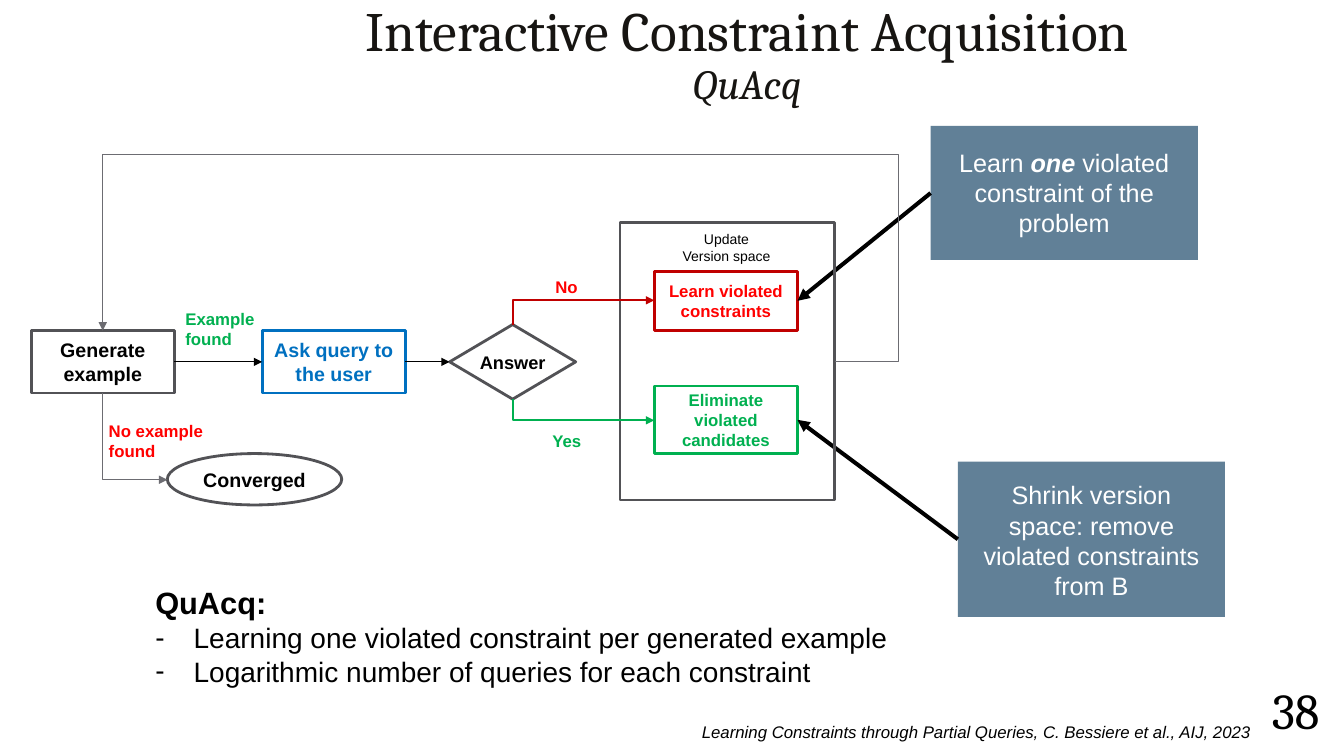
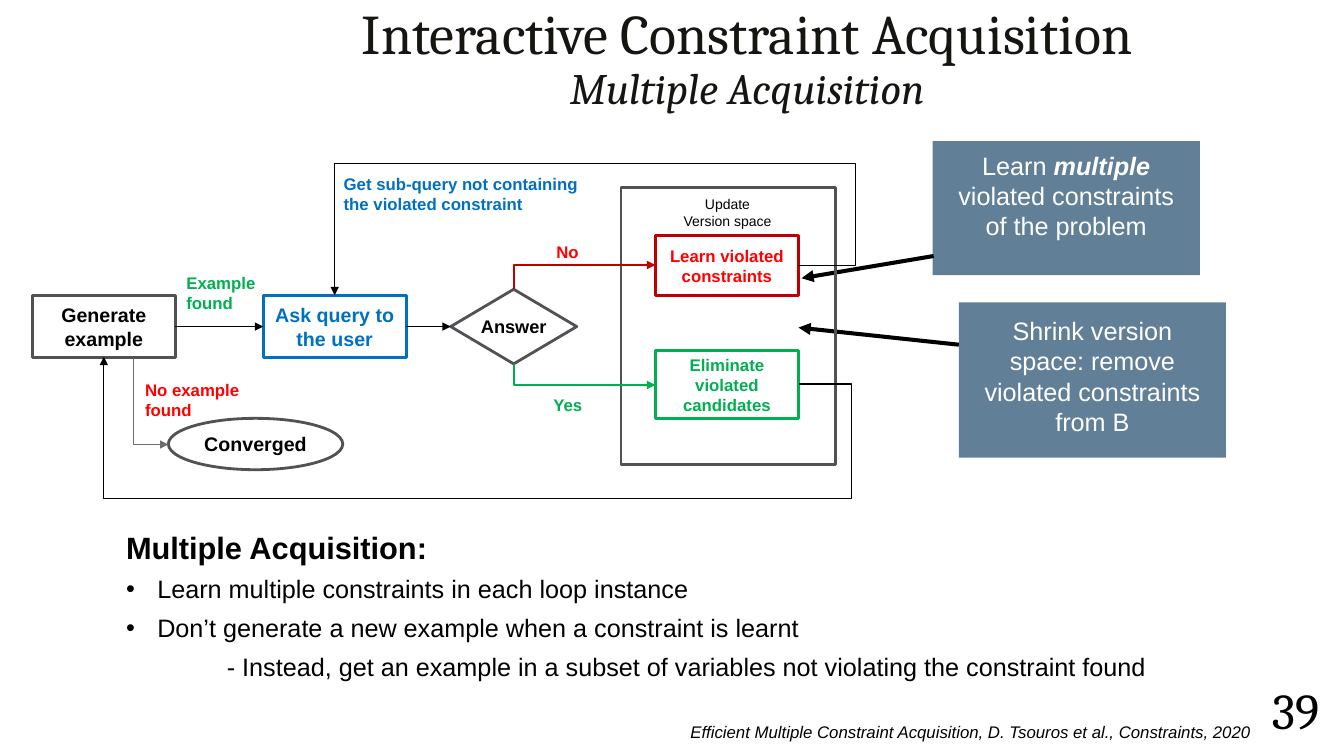
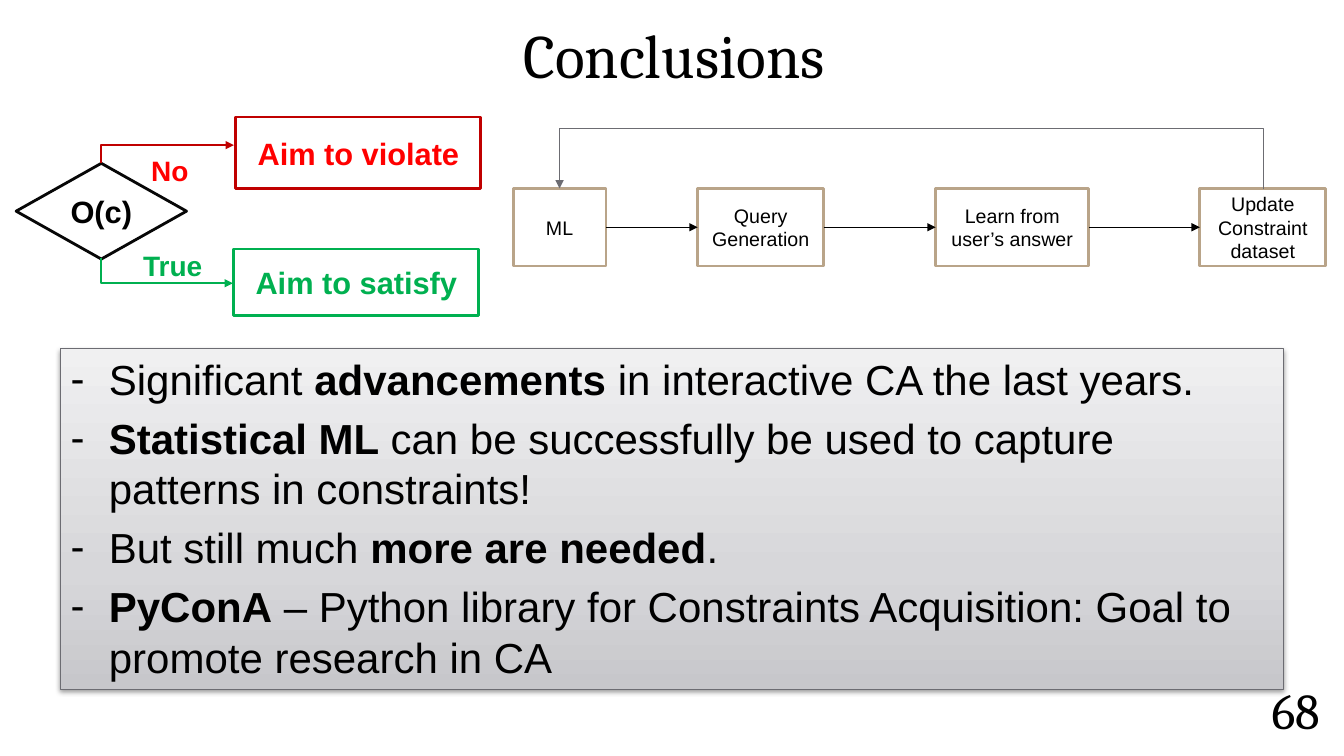
from copy import deepcopy
from dataclasses import dataclass
from typing import Optional

from lxml import etree
from pptx import Presentation
from pptx.dml.color import RGBColor
from pptx.enum.shapes import MSO_CONNECTOR, MSO_SHAPE
from pptx.enum.text import MSO_ANCHOR, MSO_AUTO_SIZE, PP_ALIGN
from pptx.oxml.ns import qn
from pptx.util import Emu, Inches, Pt

RECT, DIAMOND, OVAL = MSO_SHAPE.RECTANGLE, MSO_SHAPE.DIAMOND, MSO_SHAPE.OVAL
STRAIGHT, ELBOW = MSO_CONNECTOR.STRAIGHT, MSO_CONNECTOR.ELBOW
LEFT, CENTER, RIGHT = PP_ALIGN.LEFT, PP_ALIGN.CENTER, PP_ALIGN.RIGHT
TOP, MIDDLE, BOTTOM = MSO_ANCHOR.TOP, MSO_ANCHOR.MIDDLE, MSO_ANCHOR.BOTTOM
SIDE_LEFT, SIDE_RIGHT = 1, 3

BLACK = RGBColor(0x00, 0x00, 0x00)
WHITE = RGBColor(0xFF, 0xFF, 0xFF)
INK = RGBColor(0x17, 0x15, 0x12)
NEAR_BLACK = RGBColor(0x07, 0x07, 0x07)
DARK_GREY = RGBColor(0x52, 0x52, 0x56)
GREY = RGBColor(0x6C, 0x6C, 0x72)
BLUE = RGBColor(0x00, 0x70, 0xC0)
RED = RGBColor(0xFF, 0x00, 0x00)
DARK_RED = RGBColor(0xC0, 0x00, 0x00)
GREEN = RGBColor(0x00, 0xB0, 0x50)
STEEL = RGBColor(0x61, 0x80, 0x97)
TAN = RGBColor(0xB9, 0xA4, 0x89)
PANEL_STOPS = ((0, RGBColor(0xC7, 0xC7, 0xCB)), (0.35, RGBColor(0xD7, 0xD7, 0xDA)),
               (1, RGBColor(0xF0, 0xF0, 0xF1)))

SANS, SERIF = "Arial", "Cambria"
CELL = Inches(0.1)
TITLE_ONLY, TITLE_BODY = 5, 1

Point = tuple[float, float]


def cells(n: float) -> Emu:
    return Emu(round(n * CELL))


@dataclass(frozen=True)
class Box:
    x: float
    y: float
    w: float
    h: float

    def shifted(self, dx: float, dy: float) -> "Box":
        return Box(self.x + dx, self.y + dy, self.w, self.h)

    def emu(self) -> tuple[Emu, Emu, Emu, Emu]:
        return cells(self.x), cells(self.y), cells(self.w), cells(self.h)


@dataclass(frozen=True)
class Run:
    text: str
    size: float
    color: RGBColor = BLACK
    bold: bool = False
    italic: bool = False
    font: str = SANS


@dataclass(frozen=True)
class Para:
    runs: tuple[Run, ...]
    bullet: str = ""
    margin: float = 0
    hanging: float = 0
    before: float = 0
    after: float = 0
    level: int = 0


@dataclass(frozen=True)
class Node:
    name: str
    box: Box
    text: str
    size: float
    line: RGBColor
    color: RGBColor = BLACK
    shape: int = RECT
    bold: bool = True
    fill: Optional[RGBColor] = None


@dataclass(frozen=True)
class Label:
    box: Box
    text: str
    size: float
    color: RGBColor
    bold: bool = True
    align: int = LEFT


@dataclass(frozen=True)
class Callout:
    box: Box
    inset: float
    runs: tuple[Run, ...]
    start: Point
    end: Point
    target: str = ""


def add_run(p, run: Run):
    r = p.add_run()
    r.text = run.text
    f = r.font
    f.name, f.size, f.bold, f.italic = run.font, Pt(run.size), run.bold, run.italic
    f.color.rgb = run.color
    return r


def write(tf, paras: list[tuple[Run, ...]], align=LEFT, anchor=TOP, wrap=True, spacing=None) -> None:
    tf.word_wrap = wrap
    tf.auto_size = MSO_AUTO_SIZE.NONE
    tf.vertical_anchor = anchor
    for i, runs in enumerate(paras):
        p = tf.paragraphs[0] if i == 0 else tf.add_paragraph()
        p.alignment = align
        if spacing:
            p.line_spacing = spacing
        for run in runs:
            add_run(p, run)


def text_lines(item) -> list[tuple[Run, ...]]:
    return [(Run(line, item.size, item.color, item.bold),) for line in item.text.split("\n")]


def place(sp, box: Box) -> None:
    sp.left, sp.top, sp.width, sp.height = box.emu()


def add_text(slide, box: Box, paras: list[tuple[Run, ...]], **layout):
    sp = slide.shapes.add_textbox(*box.emu())
    write(sp.text_frame, paras, **layout)
    return sp


def add_label(slide, label: Label) -> None:
    add_text(slide, label.box, text_lines(label), align=label.align, wrap=False)


def add_block(slide, box: Box, shape=RECT, fill=None, line=None):
    sp = slide.shapes.add_shape(shape, *box.emu())
    sp.shadow.inherit = False
    if fill is None:
        sp.fill.background()
    else:
        sp.fill.solid()
        sp.fill.fore_color.rgb = fill
    if line is None:
        sp.line.fill.background()
    else:
        sp.line.color.rgb = line
        sp.line.width = Pt(2)
    return sp


def add_node(slide, node: Node):
    sp = add_block(slide, node.box, node.shape, node.fill, node.line)
    write(sp.text_frame, text_lines(node), CENTER, MIDDLE, wrap=node.shape == RECT)
    return sp


def style_arrow(cxn, color: RGBColor, width: float) -> None:
    cxn.line.color.rgb = color
    cxn.line.width = Pt(width)
    sp_pr = cxn._element.spPr
    etree.SubElement(sp_pr.find(qn("a:ln")), qn("a:tailEnd"), type="triangle")
    etree.SubElement(sp_pr, qn("a:effectLst"))


def add_arrow(slide, start: Point, end: Point, color=BLACK, width=0.75):
    cxn = slide.shapes.add_connector(STRAIGHT, *map(cells, (*start, *end)))
    style_arrow(cxn, color, width)
    return cxn


def join(slide, source, target) -> None:
    cxn = add_arrow(slide, (0, 0), (1, 1))
    cxn.begin_connect(source, SIDE_RIGHT)
    cxn.end_connect(target, SIDE_LEFT)


def add_elbow(slide, start: Point, end: Point, color=GREY, width=0.75,
              bends=2, turns=0, ratios: tuple[float, ...] = ()) -> None:
    cx, cy = (start[0] + end[0]) / 2, (start[1] + end[1]) / 2
    x, y = end[0] - cx, end[1] - cy
    for _ in range(turns):
        x, y = y, -x
    cxn = slide.shapes.add_connector(ELBOW, *map(cells, (cx - x, cy - y, cx + x, cy + y)))
    style_arrow(cxn, color, width)
    sp_pr = cxn._element.spPr
    if turns:
        sp_pr.find(qn("a:xfrm")).set("rot", str(turns * 5400000))
    geom = sp_pr.find(qn("a:prstGeom"))
    geom.set("prst", f"bentConnector{bends}")
    for i, ratio in enumerate(ratios, 1):
        etree.SubElement(geom.find(qn("a:avLst")), qn("a:gd"),
                         name=f"adj{i}", fmla=f"val {round(ratio * 100000)}")


def add_loop(slide, start: Point, end: Point, via: Point, color: RGBColor) -> None:
    ratios = tuple((v - s) / (e - s) for s, e, v in zip(start, end, via))
    add_elbow(slide, start, end, color, bends=4, ratios=ratios)


def start_slide(prs, layout: int, number: str, title_box: Box, title: tuple[Run, ...]):
    slide = prs.slides.add_slide(prs.slide_layouts[layout])
    sp = slide.shapes.title
    place(sp, title_box)
    write(sp.text_frame, [title[:1]], CENTER, BOTTOM, spacing=0.9)
    p = sp.text_frame.paragraphs[0]
    for run in title[1:]:
        p.add_line_break()
        p._p.find(qn("a:br")).append(deepcopy(p.runs[0]._r.rPr))
        add_run(p, run)
    page = add_text(slide, Box(123.5, 67.5, 10, 6.5), [(Run(number, 36, font=SERIF),)],
                    align=CENTER, anchor=MIDDLE, spacing=0.9)
    page.text_frame.margin_left = page.text_frame.margin_right = Inches(0.05)
    return slide


def fill_body(slide, box: Box, paras: list[Para]):
    sp = slide.placeholders[1]
    place(sp, box)
    tf = sp.text_frame
    write(tf, [para.runs for para in paras])
    for p, para in zip(tf.paragraphs, paras):
        p.level = para.level
        p.space_before, p.space_after = Pt(para.before), Pt(para.after)
        p_pr = p._p.get_or_add_pPr()
        p_pr.set("marL", str(Inches(para.margin)))
        p_pr.set("indent", str(-Inches(para.hanging)))
        if para.bullet:
            clr = etree.SubElement(p_pr, qn("a:buClr"))
            etree.SubElement(clr, qn("a:srgbClr"), val=str(BLACK))
            etree.SubElement(p_pr, qn("a:buFont"), typeface=SANS)
            etree.SubElement(p_pr, qn("a:buChar"), char=para.bullet)
        else:
            etree.SubElement(p_pr, qn("a:buNone"))
    return sp


def cite(slide, text: str) -> None:
    add_text(slide, Box(30.7, 71.1, 94.4, 3), [(Run(text, 12, italic=True),)], align=RIGHT)


FLOW_NODES = (
    Node("generate", Box(3.1, 32.8, 14.2, 6.2), "Generate example", 14, DARK_GREY),
    Node("ask", Box(26, 32.8, 14.2, 6.2), "Ask query to the user", 14, BLUE, BLUE),
    Node("answer", Box(44.6, 32.2, 12.5, 7.4), "Answer", 13, DARK_GREY, shape=DIAMOND),
    Node("learn", Box(64.9, 26.9, 14.2, 5.9), "Learn violated constraints", 12, DARK_RED, RED),
    Node("eliminate", Box(64.9, 38.3, 14.2, 6.7), "Eliminate violated candidates", 12, GREEN, GREEN),
    Node("converged", Box(16.6, 45, 17.3, 5.1), "Converged", 14, DARK_GREY, shape=OVAL),
)
FLOW_LABELS = (
    Label(Box(66.6, 22.4, 10.9, 4.4), "Update\nVersion space", 10, BLACK, False, CENTER),
    Label(Box(54.1, 27, 4.3, 3), "No", 12, RED),
    Label(Box(53.8, 42.2, 5, 3), "Yes", 12, GREEN),
    Label(Box(17.4, 30.1, 8.9, 5), "Example\nfound", 12, GREEN),
)
FLOW_FRAME = Box(61.5, 22.1, 21.3, 27.5)


def draw_flow(slide, callouts: tuple[Callout, ...], exit_x: float, exit_label: Point,
              dx: float = 0, dy: float = 0) -> None:
    def at(x: float, y: float) -> Point:
        return x + dx, y + dy

    panels = [add_block(slide, c.box, fill=STEEL) for c in callouts]
    nodes = {}
    for n in FLOW_NODES:
        nodes[n.name] = add_node(slide, Node(n.name, n.box.shifted(dx, dy), n.text, n.size,
                                             n.line, n.color, n.shape))
    for c, sp in zip(callouts, panels):
        tf = sp.text_frame
        tf.margin_left = tf.margin_right = Inches(0.22)
        tf.margin_top = cells(c.inset)
        write(tf, [c.runs], CENTER)
        cxn = add_arrow(slide, c.start, c.end, width=2.89)
        if c.target:
            cxn.begin_connect(sp, SIDE_LEFT)
            cxn.end_connect(nodes[c.target], SIDE_RIGHT)
    join(slide, nodes["generate"], nodes["ask"])
    join(slide, nodes["ask"], nodes["answer"])
    add_block(slide, FLOW_FRAME.shifted(dx, dy), line=DARK_GREY)
    add_elbow(slide, at(50.9, 32.2), at(64.9, 29.8), DARK_RED, 1.25, turns=1)
    add_elbow(slide, at(50.9, 39.6), at(64.9, 41.7), GREEN, 1.25, turns=3)
    add_elbow(slide, (exit_x, 39 + dy), at(16.6, 47.6), turns=3)
    for lb in FLOW_LABELS:
        add_label(slide, Label(lb.box.shifted(dx, dy), lb.text, lb.size, lb.color, lb.bold, lb.align))
    add_label(slide, Label(Box(*exit_label, 11.5, 5), "No example\nfound", 12, RED))


def learn_runs(what: str, rest: str) -> tuple[Run, ...]:
    return Run("Learn ", 18, WHITE), Run(what, 18, WHITE, True, True), Run(rest, 18, WHITE)


SHRINK = (Run("Shrink version space: remove violated constraints from B", 18, WHITE),)


def quacq_slide(prs) -> None:
    slide = start_slide(prs, TITLE_BODY, "38", Box(24.7, 0.1, 98.8, 11.2), (
        Run("Interactive Constraint Acquisition", 39.6, INK, font=SERIF),
        Run("QuAcq", 29.7, INK, italic=True, font=SERIF)))
    draw_flow(slide, (
        Callout(Box(95, 45.8, 26.5, 15.4), 1.8, SHRINK, (95, 53.5), (79.1, 41.7), "eliminate"),
        Callout(Box(92.3, 12.5, 26.5, 13.3), 2.1,
                learn_runs("one", " violated constraint of the problem"),
                (92.3, 19.2), (79.1, 29.8), "learn"),
    ), 10.2, (9.8, 41.2))
    add_loop(slide, (82.8, 35.9), (10.2, 32.8), (89.1, 15.3), GREY)
    items = ("Learning one violated constraint per generated example",
             "Logarithmic number of queries for each constraint")
    fill_body(slide, Box(14.4, 57.4, 75.9, 11.4), [
        Para((Run("QuAcq:", 22, bold=True),)),
        *(Para((Run(t, 20),), "-", 0.38, 0.38) for t in items)])
    cite(slide, "Learning Constraints through Partial Queries, C. Bessiere et al., AIJ, 2023")


def multiple_slide(prs) -> None:
    slide = start_slide(prs, TITLE_BODY, "39", Box(24.7, 0.1, 98.8, 11.7), (
        Run("Interactive Constraint Acquisition", 40, INK, font=SERIF),
        Run("Multiple Acquisition", 31, INK, italic=True, font=SERIF)))
    draw_flow(slide, (
        Callout(Box(95.1, 30, 26.5, 15.4), 1.3, SHRINK, (95.1, 34.2), (79.2, 32.5)),
        Callout(Box(92.5, 14, 26.5, 13.3), 0.9,
                learn_runs("multiple", " violated constraints of the problem"),
                (92.6, 25.4), (79.5, 27.6)),
    ), 13.2, (13.4, 37.2), 0.1, -3.5)
    add_loop(slide, (79.2, 38.1), (10.3, 35.4), (84.5, 49.5), BLACK)
    add_loop(slide, (79.2, 26.3), (33.2, 29.3), (84.8, 16.2), BLACK)
    add_label(slide, Label(Box(33.1, 16.7, 25.5, 5),
                           "Get sub-query not containing\nthe violated constraint", 12, BLUE))
    items = ("Learn multiple constraints in each loop instance",
             "Don’t generate a new example when a constraint is learnt")
    detail = "- Instead, get an example in a subset of variables not violating the constraint found"
    fill_body(slide, Box(11.5, 51.9, 107.9, 16.3), [
        Para((Run("Multiple Acquisition:", 22, bold=True),)),
        *(Para((Run(t, 18),), "•", 0.31, 0.31, before=6) for t in items),
        Para((Run(detail, 18),), margin=1, before=6, level=1)])
    cite(slide, "Efficient Multiple Constraint Acquisition, D. Tsouros et al., Constraints, 2020")


def style_panel(sp) -> None:
    sp.fill.gradient()
    sp.fill.gradient_angle = 90
    stops = sp._element.spPr.find(qn("a:gradFill")).find(qn("a:gsLst"))
    stops.append(deepcopy(stops[0]))
    for stop, (position, color) in zip(sp.fill.gradient_stops, PANEL_STOPS):
        stop.position = position
        stop.color.rgb = color
    sp.line.color.rgb = GREY
    sp.line.width = Pt(0.75)
    sp.shadow.inherit = False
    effects = sp._element.spPr.find(qn("a:effectLst"))
    shadow = etree.SubElement(effects, qn("a:outerShdw"), blurRad=str(Pt(3.1)), dist=str(Pt(1.6)),
                              dir="5400000", rotWithShape="0")
    clr = etree.SubElement(shadow, qn("a:srgbClr"), val=str(BLACK))
    etree.SubElement(clr, qn("a:alpha"), val="38000")


def conclusions_slide(prs) -> None:
    slide = start_slide(prs, TITLE_BODY, "68", Box(26.6, 0.1, 80.5, 9.5),
                        (Run("Conclusions", 44, font=SERIF),))
    for node in (
        Node("oracle", Box(1.6, 16.2, 16.9, 9.5), "O(c)", 22, NEAR_BLACK, shape=DIAMOND),
        Node("violate", Box(23.4, 11.6, 24.3, 7.1), "Aim to violate", 22, DARK_RED, RED),
        Node("satisfy", Box(23.2, 24.7, 24.3, 6.6), "Aim to satisfy", 22, GREEN, GREEN),
    ):
        add_node(slide, node)
    add_elbow(slide, (10, 25.6), (23.1, 28.1), GREEN, 1.25, turns=3)
    add_elbow(slide, (10, 16.2), (23.2, 14.4), DARK_RED, 1.25, turns=1)
    add_label(slide, Label(Box(13.2, 24.2, 7.9, 4.4), "True", 20, GREEN))
    add_label(slide, Label(Box(14, 14.7, 5.8, 4.4), "No", 20, RED))

    steps = [add_node(slide, Node("step", Box(x, 18.7, w, 7.7), text, 14, TAN, bold=False, fill=WHITE))
             for x, w, text in ((50.9, 9.2, "ML"), (69.2, 12.5, "Query\nGeneration"),
                                (92.8, 15.2, "Learn from user’s answer"),
                                (119, 12.5, "Update Constraint dataset"))]
    for source, target in zip(steps, steps[1:]):
        join(slide, source, target)
    add_elbow(slide, (125.3, 18.8), (55.5, 18.7), bends=3, turns=3, ratios=(61,))

    points = (
        (Run("Significant ", 30), Run("advancements", 30, bold=True),
         Run(" in interactive CA the last years.", 30)),
        (Run("Statistical ML ", 30, bold=True),
         Run("can be successfully be used to capture patterns in constraints!", 30)),
        (Run("But still much ", 30), Run("more are needed", 30, bold=True), Run(".", 30)),
        (Run("PyConA", 30, bold=True),
         Run(" – Python library for Constraints Acquisition: Goal to promote research in CA", 30)),
    )
    style_panel(fill_body(slide, Box(6, 34.6, 121.3, 33.8),
                          [Para(runs, "-", 0.38, 0.38, after=6) for runs in points]))


def main() -> None:
    prs = Presentation()
    prs.slide_width, prs.slide_height = Inches(13.33), Inches(7.5)
    quacq_slide(prs)
    multiple_slide(prs)
    conclusions_slide(prs)
    prs.save("out.pptx")


if __name__ == "__main__":
    main()
